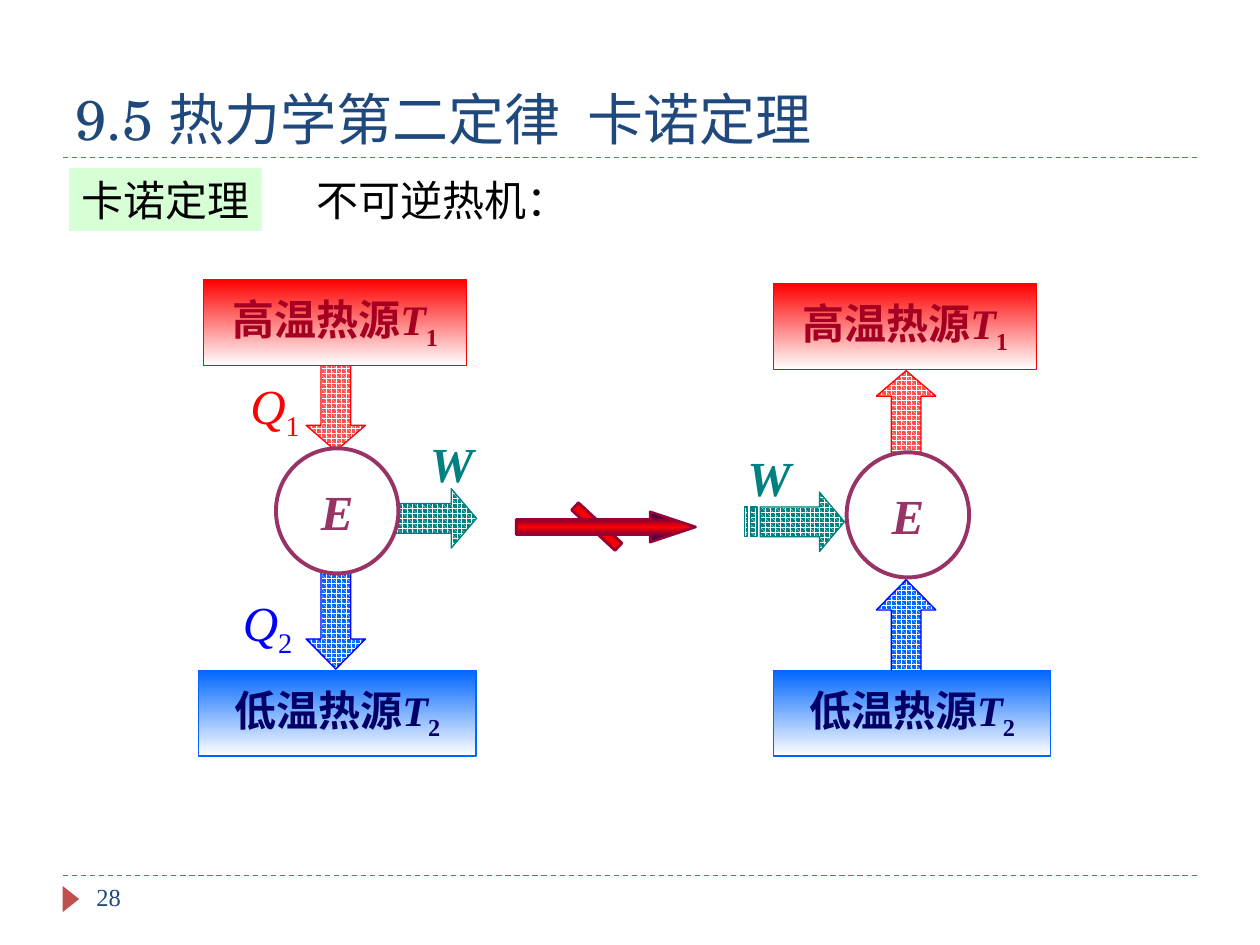
from lxml import etree
from pptx import Presentation
from pptx.dml.color import RGBColor
from pptx.enum.dml import MSO_LINE, MSO_PATTERN
from pptx.enum.shapes import MSO_CONNECTOR, MSO_SHAPE
from pptx.enum.text import MSO_ANCHOR, PP_ALIGN
from pptx.oxml.ns import qn
from pptx.util import Pt

RECT, OVAL = MSO_SHAPE.RECTANGLE, MSO_SHAPE.OVAL
TRIANGLE, ARROW = MSO_SHAPE.ISOSCELES_TRIANGLE, MSO_SHAPE.RIGHT_ARROW
STRAIGHT, DASH, SPHERE = MSO_CONNECTOR.STRAIGHT, MSO_LINE.DASH, MSO_PATTERN.SPHERE
TOP, MIDDLE, BOTTOM = MSO_ANCHOR.TOP, MSO_ANCHOR.MIDDLE, MSO_ANCHOR.BOTTOM
LEFT, CENTER = PP_ALIGN.LEFT, PP_ALIGN.CENTER

COLORS = {
    "black": "000000", "white": "FFFFFF", "title": "1F497D", "accent": "C0504D",
    "tag": "CCFFCC", "red": "FF0000", "soft_red": "FF5050", "hot": "A50021",
    "blue": "0000FF", "sky": "0066FF", "navy": "000066", "teal": "008080",
    "plum": "993366", "crimson": "990033",
}


class Diagram:
    def __init__(self, slide):
        self.shapes = slide.shapes
        self.font = "Times New Roman"

    def color(self, name):
        return RGBColor.from_string(COLORS[name])

    def label(self, s, runs, size, color, bold=False, align=LEFT, anchor=TOP,
              wrap=False, font=None):
        """Each run is (text, style): i = italic, s = subscript, g = wide gap."""
        tf = s.text_frame
        tf.word_wrap, tf.vertical_anchor = wrap, anchor
        p = tf.paragraphs[0]
        p.alignment = align
        p.font.name, p.font.size, p.font.bold = font or self.font, Pt(size), bold
        p.font.color.rgb = self.color(color)
        for text, style in runs:
            r = p.add_run()
            r.text = text
            if "i" in style:
                r.font.italic = True
            if "s" in style:
                r._r.get_or_add_rPr().set("baseline", "-25000")
            if "g" in style:
                r._r.get_or_add_rPr().set("spc", "800")

    def text(self, x, y, w, h, runs, size, color, **style):
        s = self.shapes.add_textbox(Pt(x), Pt(y), Pt(w), Pt(h))
        self.label(s, runs, size, color, **style)

    def outline(self, s, color, width):
        s.shadow.inherit = False
        if color:
            s.line.color.rgb = self.color(color)
            s.line.width = Pt(width)
        else:
            s.line.fill.background()

    def shape(self, kind, x, y, w, h, fill, line=None, width=0.75, rotation=0):
        """A list of colours as fill makes an even top-to-bottom gradient."""
        s = self.shapes.add_shape(kind, Pt(x), Pt(y), Pt(w), Pt(h))
        s.rotation = rotation
        if isinstance(fill, list):
            s.fill.gradient()
            s.fill.gradient_angle = 270
            stops = s._element.spPr.find(".//" + qn("a:gsLst"))
            for old in list(stops):
                stops.remove(old)
            for i, name in enumerate(fill):
                pos = 100000 * i // (len(fill) - 1)
                gs = etree.SubElement(stops, qn("a:gs"), pos=str(pos))
                etree.SubElement(gs, qn("a:srgbClr"), val=COLORS[name])
        else:
            s.fill.solid()
            s.fill.fore_color.rgb = self.color(fill)
        self.outline(s, line, width)
        return s

    def rule(self, y):
        s = self.shapes.add_connector(STRAIGHT, Pt(36), Pt(y), Pt(684), Pt(y))
        s.line.color.rgb = self.color("accent")
        s.line.width, s.line.dash_style = Pt(0.75), DASH
        etree.SubElement(s._element.spPr, qn("a:effectLst"))

    def striped_arrow(self, x, y, dx, dy, fill, line):
        """Arrow from tail (x, y) to tip (x + dx, y + dy), with two tail stripes."""
        half = 17
        length = abs(dx + dy)
        ux, uy = dx / length, dy / length

        def at(along, across):
            a, c = along * length, across * half
            return Pt(x + a * ux - c * uy), Pt(y + a * uy + c * ux)

        def band(start, end):
            return [(start, -0.5), (end, -0.5), (end, 0.5), (start, 0.5)]

        head = [(0.75, -1), (0.75, -0.5), (5 / 32, -0.5), (5 / 32, 0.5),
                (0.75, 0.5), (0.75, 1), (1, 0)]
        outlines = [[at(*pt) for pt in part]
                    for part in (head, band(1 / 16, 1 / 8), band(0, 1 / 32))]
        fb = self.shapes.build_freeform(*outlines[0][0], scale=1.0)
        fb.add_line_segments(outlines[0][1:], close=True)
        for points in outlines[1:]:
            fb.move_to(*points[0])
            fb.add_line_segments(points[1:], close=True)
        s = fb.convert_to_shape()
        s.fill.patterned()
        s.fill.pattern = SPHERE
        s.fill.fore_color.rgb = self.color("white")
        s.fill.back_color.rgb = self.color(fill)
        self.outline(s, line, 0.75)

    def work(self, x, y):
        self.text(x, y, 40, 41, [("W", "i")], 28, "teal", bold=True)

    def reservoir(self, x, y, w, name, index, fill, color):
        s = self.shape(RECT, x, y, w, 49, [fill, "white"], fill)
        self.label(s, [(name, ""), ("T", "i"), (index, "s")], 24, color,
                   bold=True, align=CENTER, anchor=MIDDLE)

    def engine(self, x, y, hot, cold):
        """Circle at (x, y) with hot and cold reservoirs at the given corners."""
        s = self.shape(OVAL, x, y, 70, 71.5, "white", "plum", 2.25)
        self.label(s, [("E", "i")], 28, "plum", bold=True, align=CENTER,
                   anchor=MIDDLE)
        self.reservoir(*hot, 150.5, "高温热源", "1", "red", "hot")
        self.reservoir(*cold, 158.5, "低温热源", "2", "sky", "navy")


def main():
    prs = Presentation()
    prs.slide_width, prs.slide_height = Pt(720), Pt(540)
    d = Diagram(prs.slides.add_slide(prs.slide_layouts[6]))

    # Frame, title and page number
    d.rule(500.4)
    d.rule(90)
    d.shape(TRIANGLE, 33, 509, 15, 9.5, "accent", rotation=90)
    d.text(36, 18, 648, 72, [("9.5 热力学第二定律", ""), (" ", "g"), ("卡诺定理", "")],
           32, "title", anchor=BOTTOM, wrap=True, font="TeX Gyre Schola")
    d.text(48, 500.4, 156, 29, [("28", "")], 14, "title", wrap=True)

    # Topic tag and heading
    tag = d.shape(RECT, 39.5, 96, 110, 36, "tag")
    tint = tag._element.spPr.find(".//" + qn("a:srgbClr"))
    etree.SubElement(tint, qn("a:alpha"), val="80000")
    d.label(tag, [("卡诺定理", "")], 24, "black", anchor=MIDDLE)
    d.text(174, 96, 180, 36, [("不可逆热机：", "")], 24, "black", wrap=True)

    # Forward heat engine
    d.work(238.5, 244)
    d.striped_arrow(214.5, 296.2, 57.8, 0, "teal", "teal")
    d.striped_arrow(191.9, 199.2, 0, 58.5, "soft_red", "red")
    d.striped_arrow(191.9, 313.4, 0, 69, "sky", "blue")
    for x, y, index, color in ((136, 211, "1", "red"), (131.7, 335, "2", "blue")):
        d.text(x, y, 44, 41, [("Q", "i"), (index, "s")], 28, color)
    d.engine(157.7, 256.2, (116.3, 159.8), (113.5, 383))

    # Reversed engine
    d.work(420, 252)
    d.striped_arrow(425.5, 298.2, 57, 0, "teal", "teal")
    d.striped_arrow(517.8, 270, 0, -58.2, "soft_red", "red")
    d.striped_arrow(517.8, 400.3, 0, -69, "sky", "blue")
    d.engine(483.8, 258.5, (442, 162), (442, 383))

    # Crossed-out arrow between the engines, with the slash behind
    metal = ["navy", "red", "navy"]
    d.shape(RECT, 324, 298, 34, 5.8, metal, "crimson", 1.5, rotation=42.9)
    arrow = d.shape(ARROW, 295, 292.5, 102.5, 17.3, metal, "crimson", 1.5)
    arrow.adjustments[1] = 1.5

    prs.save("out.pptx")


if __name__ == "__main__":
    main()
